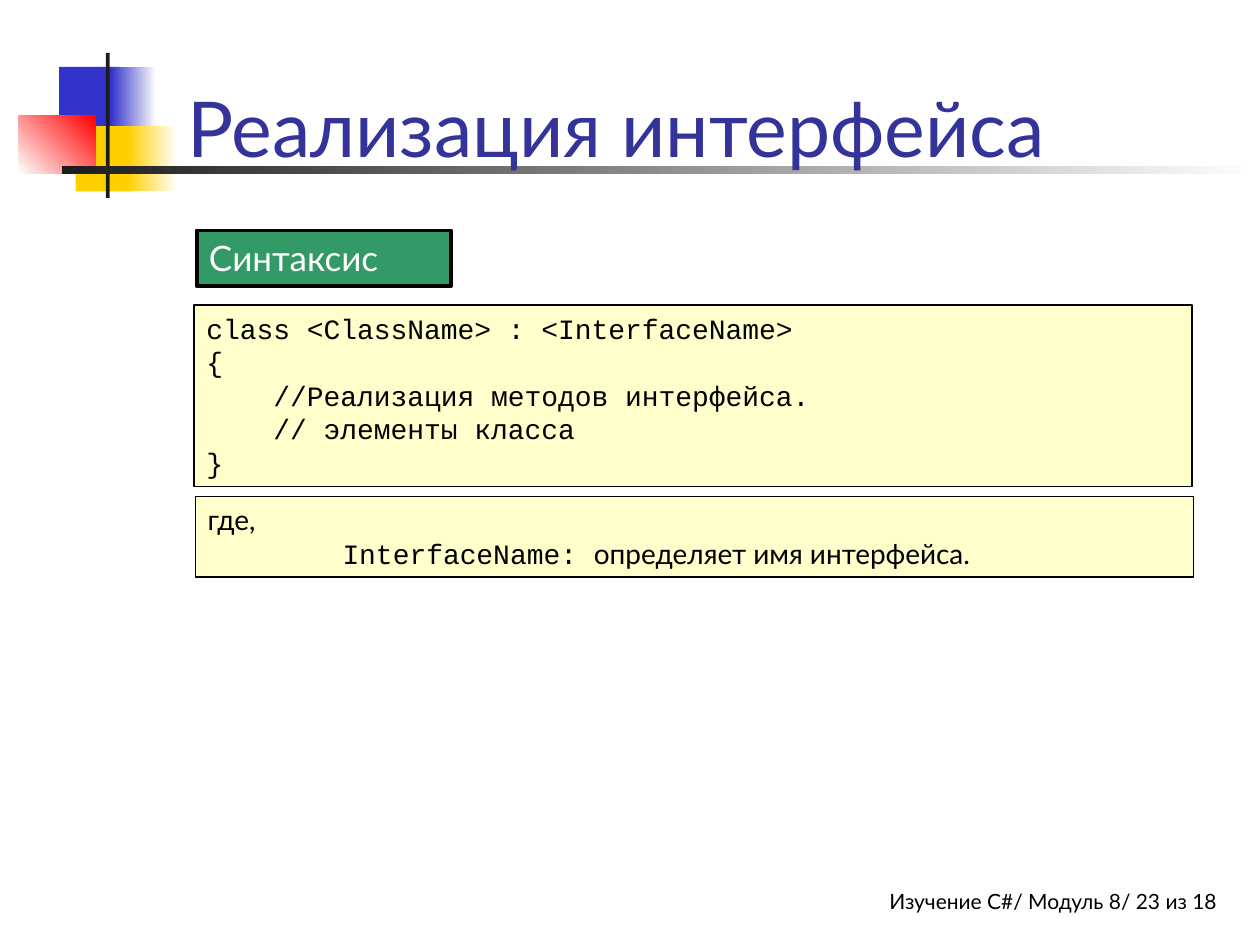
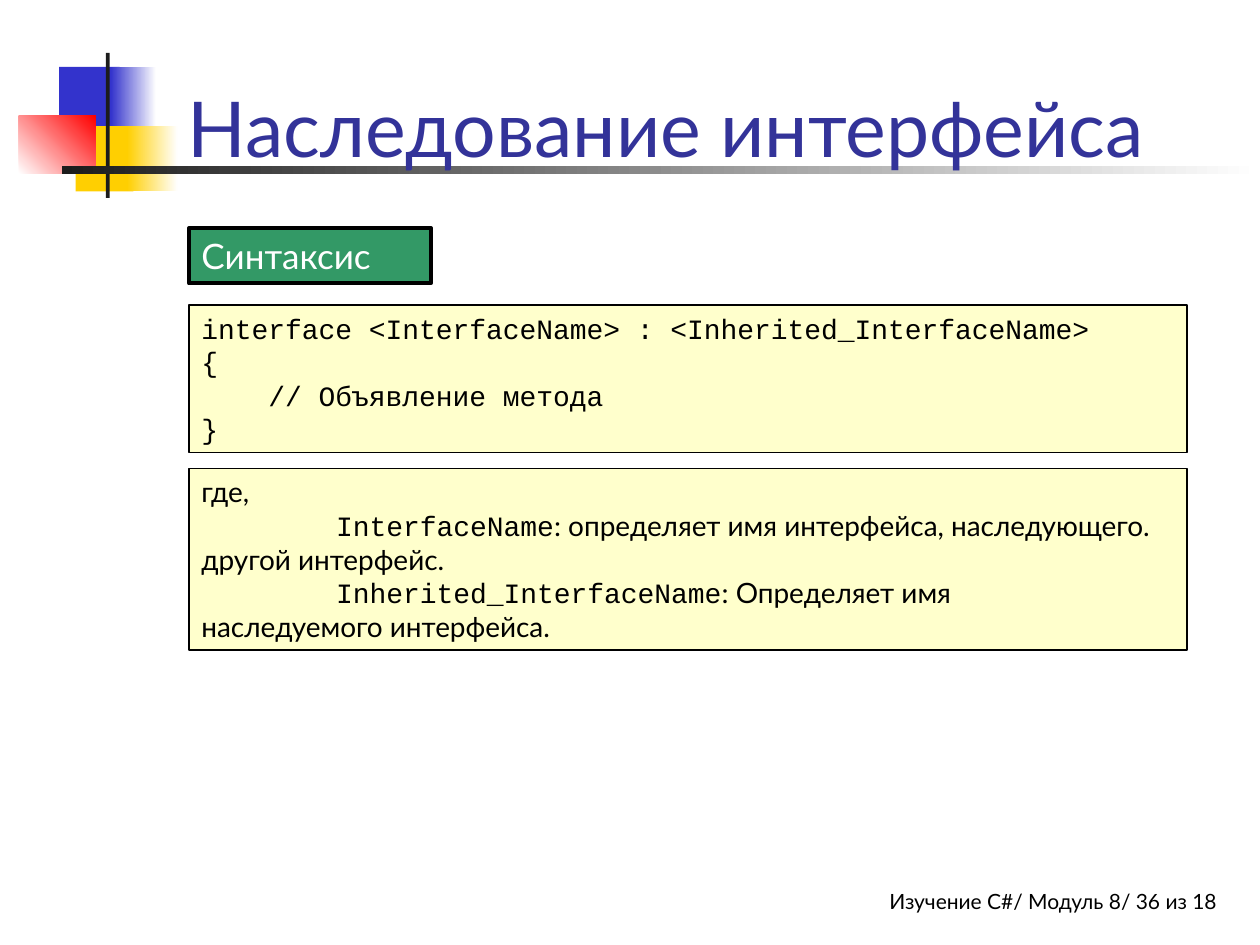
from lxml import etree
from pptx import Presentation
from pptx.dml.color import RGBColor
from pptx.enum.shapes import MSO_SHAPE
from pptx.enum.text import MSO_ANCHOR, MSO_AUTO_SIZE, PP_ALIGN
from pptx.oxml.ns import qn
from pptx.util import Inches, Pt

RECT = MSO_SHAPE.RECTANGLE
TOP, BOTTOM = MSO_ANCHOR.TOP, MSO_ANCHOR.BOTTOM
GROW = MSO_AUTO_SIZE.SHAPE_TO_FIT_TEXT
LEFT, RIGHT = PP_ALIGN.LEFT, PP_ALIGN.RIGHT

SANS, MONO = "Lato", "Courier New"
BLACK, WHITE, DARK = "000000", "FFFFFF", "1C1C1C"
BLUE, YELLOW, RED = "3333CC", "FFCF01", "FF0000"
TITLE_BLUE, GREEN, CREAM = "333399", "339966", "FFFFCC"
TAB_STEP = 1.07
PANEL_WIDTH = 7.92

EMBLEM = [
    ((0.47, 0.53, 0.48, 0.52), (BLUE,), 0),
    ((0.88, 0.53, 0.36, 0.52), (BLUE, WHITE), 0),
    ((0.6, 1, 0.46, 0.52), (YELLOW,), 0),
    ((1.01, 1, 0.4, 0.52), (YELLOW, WHITE), 0),
    ((0.15, 0.92, 0.61, 0.46), (WHITE, RED), 45),
    ((0.84, 0.42, 0.03, 1.15), (DARK,), 0),
    ((0.49, 1.32, 9.51, 0.06), (DARK, WHITE), 0),
]

SLIDES = [
    {
        "title": "Реализация интерфейса",
        "number": 23,
        "label": (1.56, 1.83, 2.02, 0.44),
        "code_box": (1.54, 2.42, PANEL_WIDTH, 1.44),
        "code": [
            "class <ClassName> : <InterfaceName>",
            "{",
            "    //Реализация методов интерфейса.",
            "    // элементы класса",
            "}",
        ],
        "notes_box": (1.55, 3.94, PANEL_WIDTH, 0.64),
        "terms": [("InterfaceName: ", "определяет имя интерфейса.")],
    },
    {
        "title": "Наследование интерфейса",
        "number": 36,
        "label": (1.5, 1.81, 1.92, 0.44),
        "code_box": (1.5, 2.42, PANEL_WIDTH, 1.17),
        "code": [
            "interface <InterfaceName> : <Inherited_InterfaceName>",
            "{",
            "    // Объявление метода",
            "}",
        ],
        "notes_box": (1.5, 3.72, PANEL_WIDTH, 1.44),
        "terms": [
            ("InterfaceName",
             ": определяет имя интерфейса, наследующего. \tдругой интерфейс."),
            ("Inherited_InterfaceName",
             ": Определяет имя \tнаследуемого интерфейса."),
        ],
    },
]


def rgb(value):
    return RGBColor.from_string(value)


def inches(box):
    return [Inches(v) for v in box]


def add_rect(shapes, box, colors, angle=0, line=None):
    sp = shapes.add_shape(RECT, *inches(box))
    sp.shadow.inherit = False
    if len(colors) == 1:
        sp.fill.solid()
        sp.fill.fore_color.rgb = rgb(colors[0])
    else:
        sp.fill.gradient()
        sp.fill.gradient_angle = angle
        for stop, color in zip(sp.fill.gradient_stops, colors):
            stop.color.rgb = rgb(color)
    if line:
        sp.line.color.rgb = rgb(BLACK)
        sp.line.width = Pt(line)
    else:
        sp.line.fill.background()
    return sp


def add_tabs(p):
    tabs = etree.SubElement(p._p.get_or_add_pPr(), qn("a:tabLst"))
    for i in range(1, 8):
        etree.SubElement(tabs, qn("a:tab"), pos=str(Inches(TAB_STEP * i)), algn="l")


def write(sp, paragraphs, size, color, align=LEFT, anchor=TOP, auto_size=GROW):
    tf = sp.text_frame
    tf.word_wrap = True
    tf.auto_size = auto_size
    tf.vertical_anchor = anchor
    for i, runs in enumerate(paragraphs):
        p = tf.add_paragraph() if i else tf.paragraphs[0]
        p.alignment = align
        if any("\t" in text for text, _ in runs):
            add_tabs(p)
        for text, font in runs:
            r = p.add_run()
            r.text = text
            r.font.name = font
            r.font.size = Pt(size)
            r.font.color.rgb = rgb(color)


def add_emblem(s):
    group = s.shapes.add_group_shape()
    for box, colors, angle in EMBLEM:
        add_rect(group.shapes, box, colors, angle)


def add_title(s, box, title):
    sp = s.shapes.add_textbox(*inches(box))
    write(sp, [[(title, SANS)]], 44, TITLE_BLUE, anchor=BOTTOM,
          auto_size=MSO_AUTO_SIZE.NONE)


def add_footer(s, box, number):
    sp = s.shapes.add_textbox(*inches(box))
    sp.text_frame.margin_right = 0
    text = f"Изучение C#/ Модуль 8/ {number} из 18"
    write(sp, [[(text, SANS)]], 12, BLACK, align=RIGHT)


def add_label(s, box):
    sp = add_rect(s.shapes, box, (GREEN,), line=2.25)
    write(sp, [[("Синтаксис", SANS)]], 20, WHITE)


def add_panel(s, box, paragraphs):
    sp = add_rect(s.shapes, box, (CREAM,), line=0.75)
    write(sp, paragraphs, 16, BLACK)


def add_syntax_slide(prs, content):
    s = prs.slides.add_slide(prs.slide_layouts[6])
    add_footer(s, (4.58, 7, 5.08, 0.33), content["number"])
    add_emblem(s)
    add_title(s, (1.39, 0.17, 8.52, 1.25), content["title"])
    add_label(s, content["label"])
    add_panel(s, content["code_box"], [[(line, MONO)] for line in content["code"]])
    terms = [[("\t" + name, MONO), (meaning, SANS)]
             for name, meaning in content["terms"]]
    add_panel(s, content["notes_box"], [[("где,", SANS)]] + terms)


def main():
    prs = Presentation()
    prs.slide_width, prs.slide_height = Inches(10), Inches(7.5)
    for content in SLIDES:
        add_syntax_slide(prs, content)
    prs.save("out.pptx")


if __name__ == "__main__":
    main()
